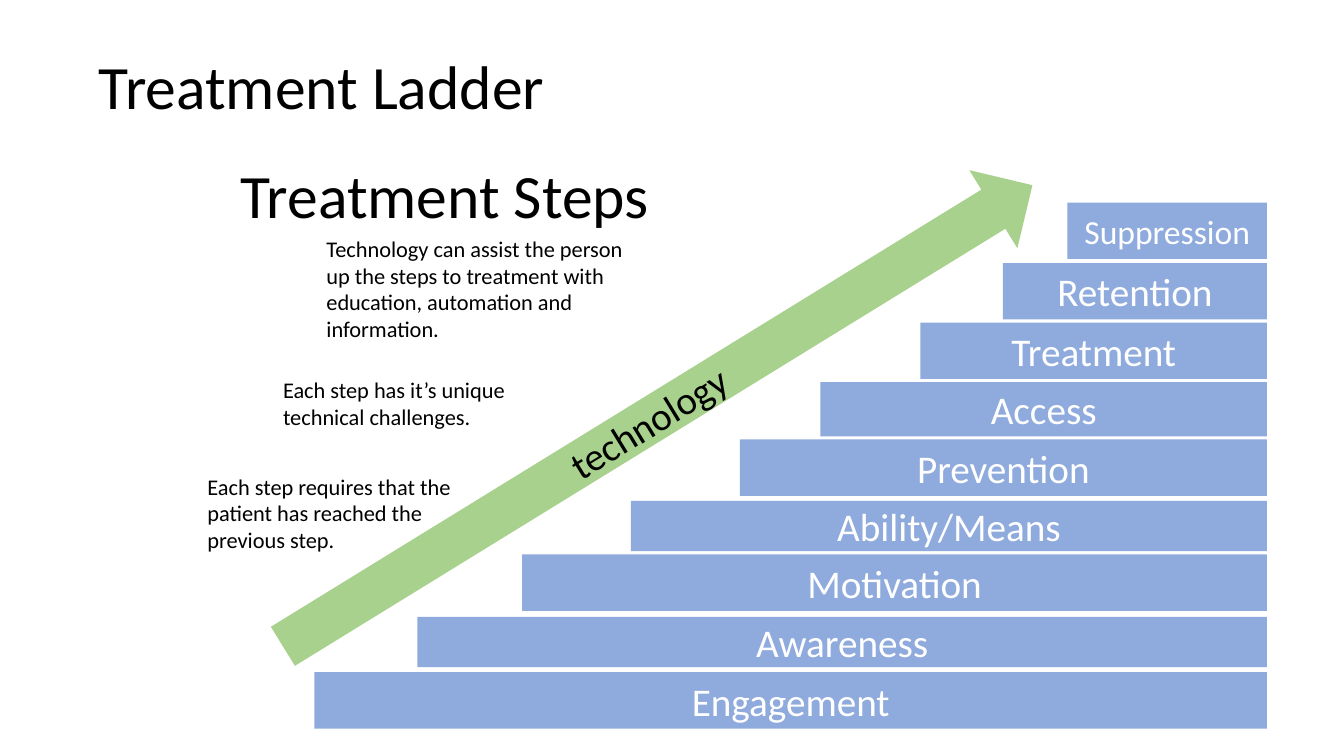
from pptx import Presentation
from pptx.dml.color import RGBColor
from pptx.enum import shapes, text
from pptx.util import Pt

FONT = "Calibri"
BLACK, WHITE, BLUE, GREEN = "000000", "FFFFFF", "8FAADC", "A9D18E"
TITLE = ("Treatment Ladder", (63.4, 11.5, 828, 104.4))
SUBTITLE = ("Treatment Steps", (164.9, 89.3, 381.6, 104.4))
NOTE_WIDTH = 226.1
NOTES = [
    ("Technology can assist the person up the steps to treatment with "
     "education, automation and information.", 226.1, 164.2, 67.7),
    ("Each step has it’s unique technical challenges.", 195.1, 265, 36.7),
    ("Each step requires that the patient has reached the previous step.",
     141.1, 334.1, 36.7),
]
STEPS_RIGHT = 905
STEPS = [
    ("Engagement", 224.6, 480.2, 40.3, 28),
    ("Awareness", 298.1, 440.6, 36, 28),
    ("Motivation", 373, 396, 40.3, 28),
    ("Ability/Means", 450.7, 357.8, 36, 28),
    ("Prevention", 528.5, 313.9, 40.3, 28),
    ("Access", 586.1, 272.9, 38.9, 28),
    ("Treatment", 657.4, 230.4, 40.3, 28),
    ("Retention", 716.4, 187.9, 40.3, 28),
    ("Suppression", 762.5, 144.7, 40.3, 24),
]
ARROW = ("technology", (155.5, 264.2, 628.6, 65.5), 328.4)


def color(value):
    return RGBColor.from_string(value)


def write(shape, words, size, ink=BLACK, align=text.PP_ALIGN.LEFT,
          anchor=text.MSO_ANCHOR.MIDDLE, spacing=None):
    frame = shape.text_frame
    frame.word_wrap = True
    frame.vertical_anchor = anchor
    paragraph = frame.paragraphs[0]
    paragraph.alignment = align
    paragraph.line_spacing = spacing
    run = paragraph.add_run()
    run.text = words
    run.font.name = FONT
    run.font.size = Pt(size)
    run.font.color.rgb = color(ink)


def add_block(slide, kind, box, fill, words, size, ink):
    shape = slide.shapes.add_shape(kind, *map(Pt, box))
    shape.shadow.inherit = False
    shape.fill.solid()
    shape.fill.fore_color.rgb = color(fill)
    shape.line.fill.background()
    write(shape, words, size, ink, text.PP_ALIGN.CENTER)
    return shape


def main():
    presentation = Presentation()
    presentation.slide_width, presentation.slide_height = Pt(960), Pt(540)
    slide = presentation.slides.add_slide(presentation.slide_layouts[5])

    words, box = TITLE
    title = slide.shapes.title
    title.left, title.top, title.width, title.height = map(Pt, box)
    write(title, words, 44, spacing=0.9)

    for words, left, top, height in NOTES:
        note = slide.shapes.add_textbox(Pt(left), Pt(top), Pt(NOTE_WIDTH), Pt(height))
        write(note, words, 16, anchor=text.MSO_ANCHOR.TOP)

    for words, left, top, height, size in STEPS:
        add_block(slide, shapes.MSO_SHAPE.RECTANGLE,
                  (left, top, STEPS_RIGHT - left, height), BLUE, words, size, WHITE)

    words, box, angle = ARROW
    arrow = add_block(slide, shapes.MSO_SHAPE.RIGHT_ARROW, box, GREEN, words, 28, BLACK)
    arrow.rotation = angle

    words, box = SUBTITLE
    write(slide.shapes.add_textbox(*map(Pt, box)), words, 44, spacing=0.9)

    presentation.save("out.pptx")


if __name__ == "__main__":
    main()
